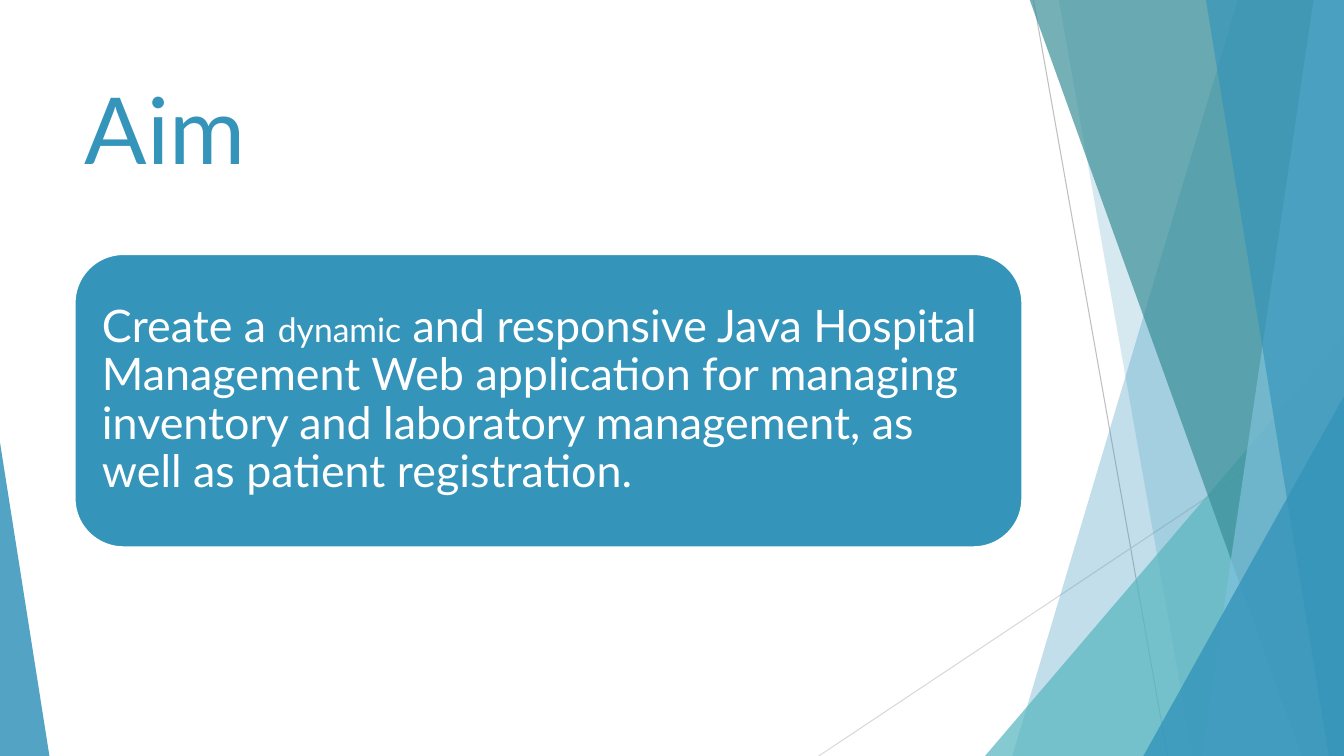
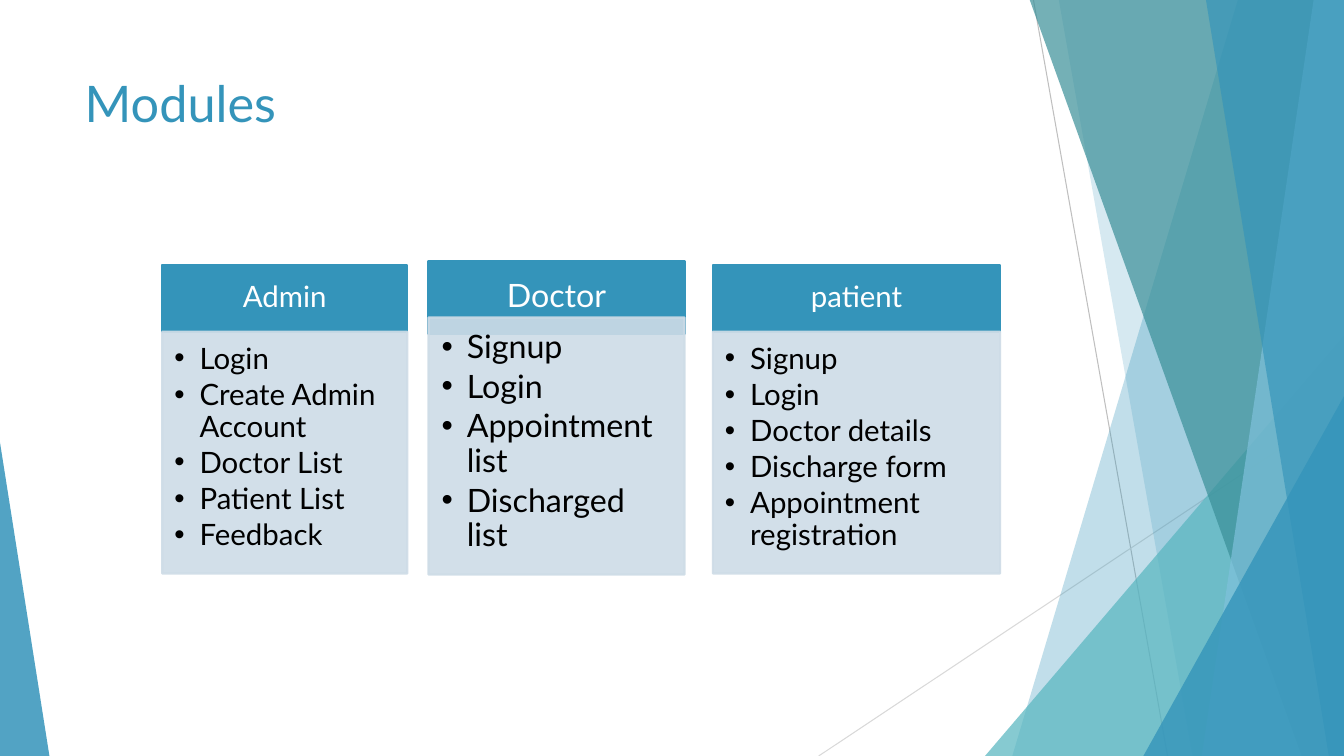
from dataclasses import dataclass

from lxml import etree
from pptx import Presentation
from pptx.dml.color import RGBColor
from pptx.enum.shapes import MSO_CONNECTOR, MSO_SHAPE
from pptx.enum.text import MSO_ANCHOR, MSO_AUTO_SIZE, PP_ALIGN
from pptx.oxml.ns import qn
from pptx.util import Emu, Pt

STRAIGHT = MSO_CONNECTOR.STRAIGHT
TRIANGLE = MSO_SHAPE.ISOSCELES_TRIANGLE
RECTANGLE = MSO_SHAPE.RECTANGLE
ROUNDED = MSO_SHAPE.ROUNDED_RECTANGLE
TOP, MIDDLE = MSO_ANCHOR.TOP, MSO_ANCHOR.MIDDLE
LEFT, CENTER = PP_ALIGN.LEFT, PP_ALIGN.CENTER
NO_AUTOFIT = MSO_AUTO_SIZE.NONE

EMU_PER_PX = 9144
PX_PER_POINT = 100 / 72
SLIDE_WIDTH, SLIDE_HEIGHT = 1333, 750
TITLE_ONLY = 5
FONT = "Lato"
COLORS = {
    "blue": "3494BA",
    "teal": "58B6C0",
    "dark_teal": "3A8F98",
    "sky": "7FC1DB",
    "pale": "CEDCE7",
    "gray": "BFBFBF",
    "light_gray": "D9D9D9",
    "white": "FFFFFF",
    "black": "000000",
}


@dataclass(frozen=True)
class Box:
    left: int
    top: int
    width: int
    height: int


@dataclass(frozen=True)
class Ray:
    start: tuple[int, int]
    end: tuple[int, int]
    color: str


@dataclass(frozen=True)
class Band:
    top_x: int
    bottom_x: int
    color: str
    opacity: int


@dataclass(frozen=True)
class Corner:
    box: Box
    apex: float
    color: str
    opacity: int


@dataclass(frozen=True)
class Phrase:
    text: str
    size: int


@dataclass(frozen=True)
class Module:
    heading: str
    features: tuple[str, ...]
    size: int
    header: Box
    body: Box


TITLE_BOX = Box(74, 67, 940, 144)
FACETS = (
    Ray((1025, 0), (1158, 750), "gray"),
    Ray((1333, 403), (812, 750), "light_gray"),
    Band(1228, 1004, "blue", 30),
    Band(1050, 1183, "blue", 20),
    Corner(Box(977, 333, 356, 417), 1, "teal", 72),
    Band(1021, 1291, "dark_teal", 70),
    Band(1303, 1192, "sky", 70),
    Band(1196, 1318, "blue", 65),
    Corner(Box(1134, 393, 199, 357), 1, "blue", 80),
    Corner(Box(0, 439, 49, 311), 0, "blue", 85),
)
AIM = (
    Phrase("Create a ", 32),
    Phrase("dynamic", 24),
    Phrase(
        " and responsive Java Hospital Management Web application for managing "
        "inventory and laboratory management, as well as patient registration.",
        32,
    ),
)
MODULES = (
    Module(
        "Admin",
        ("Login", "Create Admin Account", "Doctor List", "Patient List", "Feedback"),
        21, Box(161, 263, 243, 66), Box(161, 329, 243, 240),
    ),
    Module(
        "Doctor",
        ("Signup", "Login", "Appointment list", "Discharged list"),
        23, Box(425, 259, 254, 72), Box(425, 315, 254, 255),
    ),
    Module(
        "patient",
        ("Signup", "Login", "Doctor details", "Discharge form", "Appointment registration"),
        21, Box(707, 263, 285, 66), Box(707, 329, 285, 240),
    ),
)


def px(length: int) -> Emu:
    return Emu(length * EMU_PER_PX)


def rgb(color: str) -> RGBColor:
    return RGBColor.from_string(COLORS[color])


def edges(box: Box) -> tuple[Emu, Emu, Emu, Emu]:
    return px(box.left), px(box.top), px(box.width), px(box.height)


def paint(shape, fill: str, outline: str | None = None, opacity: int = 100) -> None:
    shape.shadow.inherit = False
    shape.fill.solid()
    shape.fill.fore_color.rgb = rgb(fill)
    if outline:
        shape.line.color.rgb = rgb(outline)
        shape.line.width = Pt(1.5)
    else:
        shape.line.fill.background()
    if opacity < 100:
        for tint in shape.element.spPr.iter(qn("a:srgbClr")):
            etree.SubElement(tint, qn("a:alpha"), val=str(opacity * 1000))


def add_phrase(paragraph, phrase: Phrase, color: str) -> None:
    run = paragraph.add_run()
    run.text = phrase.text
    run.font.name = FONT
    run.font.size = Pt(phrase.size)
    run.font.color.rgb = rgb(color)


def set_frame(frame, anchor, insets: tuple[int, int, int, int]) -> None:
    frame.word_wrap = True
    frame.vertical_anchor = anchor
    frame.margin_left, frame.margin_top, frame.margin_right, frame.margin_bottom = map(px, insets)


def draw_facet(shapes, facet: Ray | Band | Corner):
    if isinstance(facet, Ray):
        ray = shapes.add_connector(STRAIGHT, *map(px, facet.start + facet.end))
        ray.line.color.rgb = rgb(facet.color)
        ray.line.width = Pt(0.75)
        etree.SubElement(ray.element.spPr, qn("a:effectLst"))
        return ray
    if isinstance(facet, Band):
        outline = shapes.build_freeform(facet.top_x, -1, scale=EMU_PER_PX)
        outline.add_line_segments(
            [(SLIDE_WIDTH, -1), (SLIDE_WIDTH, SLIDE_HEIGHT), (facet.bottom_x, SLIDE_HEIGHT)]
        )
        piece = outline.convert_to_shape()
    else:
        piece = shapes.add_shape(TRIANGLE, *edges(facet.box))
        piece.adjustments[0] = facet.apex
    paint(piece, facet.color, opacity=facet.opacity)
    return piece


def decorate_layout(slide) -> None:
    layout_tree = slide.slide_layout.shapes.element
    for number, facet in enumerate(FACETS, start=100):
        element = draw_facet(slide.shapes, facet).element
        next(element.iter(qn("p:cNvPr"))).set("id", str(number))
        layout_tree.append(element)


def add_titled_slide(presentation, title: Phrase):
    slide = presentation.slides.add_slide(presentation.slide_layouts[TITLE_ONLY])
    heading = slide.shapes.title
    heading.left, heading.top, heading.width, heading.height = edges(TITLE_BOX)
    frame = heading.text_frame
    set_frame(frame, TOP, (10, 5, 10, 5))
    frame.auto_size = NO_AUTOFIT
    frame.paragraphs[0].alignment = LEFT
    add_phrase(frame.paragraphs[0], title, "blue")
    return slide


def draw_aim(slide) -> None:
    card = slide.shapes.add_shape(ROUNDED, *edges(Box(74, 252, 940, 291)))
    paint(card, "blue", "white")
    set_frame(card.text_frame, MIDDLE, (13, 13, 13, 13))
    statement = card.text_frame.paragraphs[0]
    statement.alignment = LEFT
    statement.line_spacing = 0.9
    for phrase in AIM:
        add_phrase(statement, phrase, "white")


def add_bullet(paragraph) -> None:
    properties = paragraph._p.get_or_add_pPr()
    properties.set("marL", str(px(25)))
    properties.set("indent", str(px(-25)))
    etree.SubElement(properties, qn("a:buFont"), typeface="Arial")
    etree.SubElement(properties, qn("a:buChar"), char="•")


def draw_module(slide, module: Module) -> None:
    em = module.size * PX_PER_POINT
    side, header_inset = round(em * 0.56), round(em * 0.3)
    near, bottom = round(em * 0.4), round(em * 0.62)

    header = slide.shapes.add_shape(RECTANGLE, *edges(module.header))
    paint(header, "blue", "blue")
    set_frame(header.text_frame, MIDDLE, (side, header_inset, side, header_inset))
    heading = header.text_frame.paragraphs[0]
    heading.alignment = CENTER
    heading.line_spacing = 0.9
    add_phrase(heading, Phrase(module.heading, module.size), "white")

    body = slide.shapes.add_shape(RECTANGLE, *edges(module.body))
    paint(body, "pale", "pale", 90)
    frame = body.text_frame
    set_frame(frame, TOP, (near, near, side, bottom))
    for index, feature in enumerate(module.features):
        entry = frame.add_paragraph() if index else frame.paragraphs[0]
        add_bullet(entry)
        entry.alignment = LEFT
        entry.line_spacing = 0.9
        entry.space_after = Pt(module.size * 0.15)
        add_phrase(entry, Phrase(feature, module.size), "black")


def main() -> None:
    presentation = Presentation()
    presentation.slide_width = px(SLIDE_WIDTH)
    presentation.slide_height = px(SLIDE_HEIGHT)

    aim_slide = add_titled_slide(presentation, Phrase("Aim", 66))
    decorate_layout(aim_slide)
    draw_aim(aim_slide)

    modules_slide = add_titled_slide(presentation, Phrase("Modules", 36))
    for module in MODULES:
        draw_module(modules_slide, module)

    presentation.save("out.pptx")


if __name__ == "__main__":
    main()
